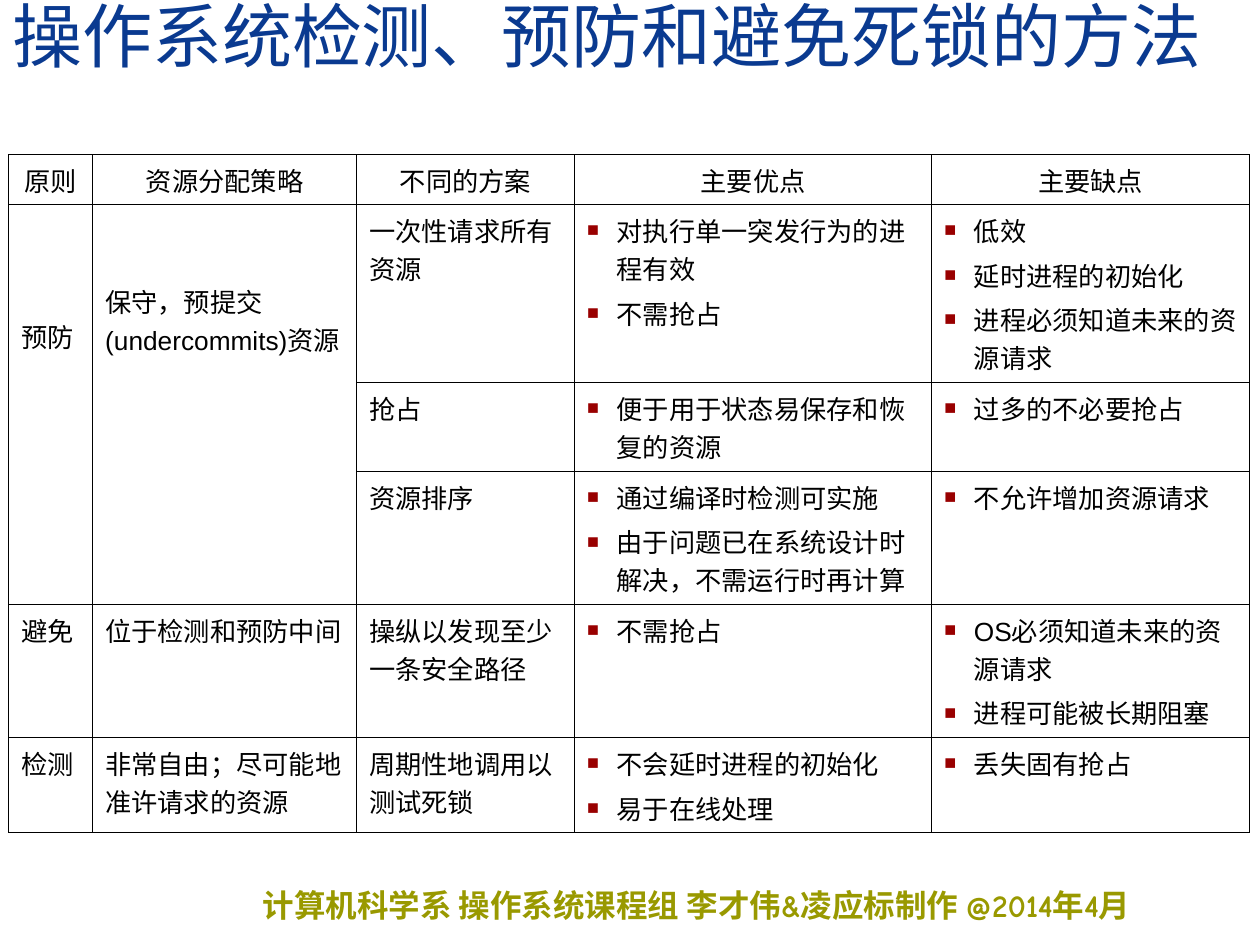
import pptx
import pptx.dml.color
import pptx.enum.text
import pptx.oxml
import pptx.oxml.ns
import pptx.util

Pt = pptx.util.Pt
Align = pptx.enum.text.PP_ALIGN
Anchor = pptx.enum.text.MSO_ANCHOR
NS = pptx.oxml.ns.nsdecls("a")
HUES = {"title": "0A3A90", "foot": "999900", "text": "000000",
        "line": "000000", "mark": "990000"}

COLS = [6.65, 20.95, 17.3, 28.35, 25.25]
ROWS = [4, 14.12, 7.05, 10.57, 10.57, 7.53]
HEAD = ["原则", "资源分配策略", "不同的方案", "主要优点", "主要缺点"]
# Text cells are strings, bulleted cells are lists, None continues a merge.
BODY = [
    ["预防", "保守，预提交(undercommits)资源", "一次性请求所有资源",
     ["对执行单一突发行为的进程有效", "不需抢占"],
     ["低效", "延时进程的初始化", "进程必须知道未来的资源请求"]],
    [None, None, "抢占",
     ["便于用于状态易保存和恢复的资源"], ["过多的不必要抢占"]],
    [None, None, "资源排序",
     ["通过编译时检测可实施", "由于问题已在系统设计时解决，不需运行时再计算"],
     ["不允许增加资源请求"]],
    ["避免", "位于检测和预防中间", "操纵以发现至少一条安全路径",
     ["不需抢占"], ["OS必须知道未来的资源请求", "进程可能被长期阻塞"]],
    ["检测", "非常自由；尽可能地准许请求的资源", "周期性地调用以测试死锁",
     ["不会延时进程的初始化", "易于在线处理"], ["丢失固有抢占"]],
]
DROPS = [8.95, 6.1]  # top margins of the two merged cells, in grid rows


class Deck:
    """Draws on a grid of 100 columns by 75 rows."""

    def __init__(self):
        self.prs = pptx.Presentation()
        self.prs.slide_width = pptx.util.Inches(10)
        self.prs.slide_height = pptx.util.Inches(7.5)
        self.unit = self.prs.slide_width / 100
        self.slide = self.prs.slides.add_slide(self.prs.slide_layouts[6])

    def size(self, n):
        return pptx.util.Emu(round(n * self.unit))

    def style(self, para, face, pts, hue, bold=False):
        font = para.font
        font.name, font.size, font.bold = face, Pt(pts), bold
        font.color.rgb = pptx.dml.color.RGBColor.from_string(HUES[hue])

    def text(self, box, words, face, pts, hue, bold=False,
             side=1, anchor=Anchor.TOP, space=1.0):
        shape = self.slide.shapes.add_textbox(*map(self.size, box))
        frame = shape.text_frame
        frame.word_wrap = True
        frame.vertical_anchor = anchor
        frame.margin_left = frame.margin_right = self.size(side)
        frame.margin_top = frame.margin_bottom = self.size(0.5)
        para = frame.paragraphs[0]
        para.text = words
        para.line_spacing = space
        self.style(para, face, pts, hue, bold)

    def bullet(self, para):
        props = para._p.get_or_add_pPr()
        indent = self.size(2.35)
        props.set("marL", str(indent))
        props.set("indent", str(-indent))
        for xml in (f'<a:buClr {NS}><a:srgbClr val="{HUES["mark"]}"/></a:buClr>',
                    f'<a:buSzPct {NS} val="75000"/>',
                    f'<a:buFont {NS} typeface="Arial"/>',
                    f'<a:buChar {NS} char="■"/>'):
            props.append(pptx.oxml.parse_xml(xml))

    def border(self, cell):
        cell.fill.background()
        props = cell._tc.get_or_add_tcPr()
        for i, edge in enumerate("LRTB"):
            props.insert(i, pptx.oxml.parse_xml(
                f'<a:ln{edge} {NS} w="{Pt(0.45)}"><a:solidFill>'
                f'<a:srgbClr val="{HUES["line"]}"/></a:solidFill></a:ln{edge}>'))

    def fill(self, cell, item, align):
        cell.margin_left = cell.margin_right = self.size(1)
        cell.margin_top = cell.margin_bottom = self.size(0.5)
        listed = isinstance(item, list)
        frame = cell.text_frame
        for i, words in enumerate(item if listed else [item]):
            para = frame.add_paragraph() if i else frame.paragraphs[0]
            para.text = words
            para.alignment = align
            if i:
                para.space_before = Pt(3.7)
            if listed:
                self.bullet(para)
            self.style(para, "Arial", 15, "text")

    def table(self, left, top, cols, rows, data):
        box = map(self.size, (left, top, sum(cols), sum(rows)))
        grid = self.slide.shapes.add_table(len(rows), len(cols), *box).table
        grid.first_row = grid.horz_banding = False
        for col, n in zip(grid.columns, cols):
            col.width = self.size(n)
        for row, n in zip(grid.rows, rows):
            row.height = self.size(n)
        for r, line in enumerate(data):
            for c, item in enumerate(line):
                cell = grid.cell(r, c)
                self.border(cell)
                if item is not None:
                    self.fill(cell, item, Align.LEFT if r else Align.CENTER)
        return grid


def main():
    deck = Deck()
    deck.text((20.85, 69.8, 73.2, 4),
              "计算机科学系 操作系统课程组 李才伟&凌应标制作 @2014年4月",
              "Comic Neue", 18, "foot", bold=True, side=0)
    deck.text((0, 0, 100, 6.5), "操作系统检测、预防和避免死锁的方法",
              "Times New Roman", 40, "title", anchor=Anchor.BOTTOM, space=0.8)
    grid = deck.table(0.7, 12.25, COLS, ROWS, [HEAD] + BODY)
    for c, drop in enumerate(DROPS):
        cell = grid.cell(1, c)
        cell.merge(grid.cell(3, c))
        cell.margin_top = deck.size(drop)
    deck.prs.save("out.pptx")


if __name__ == "__main__":
    main()
